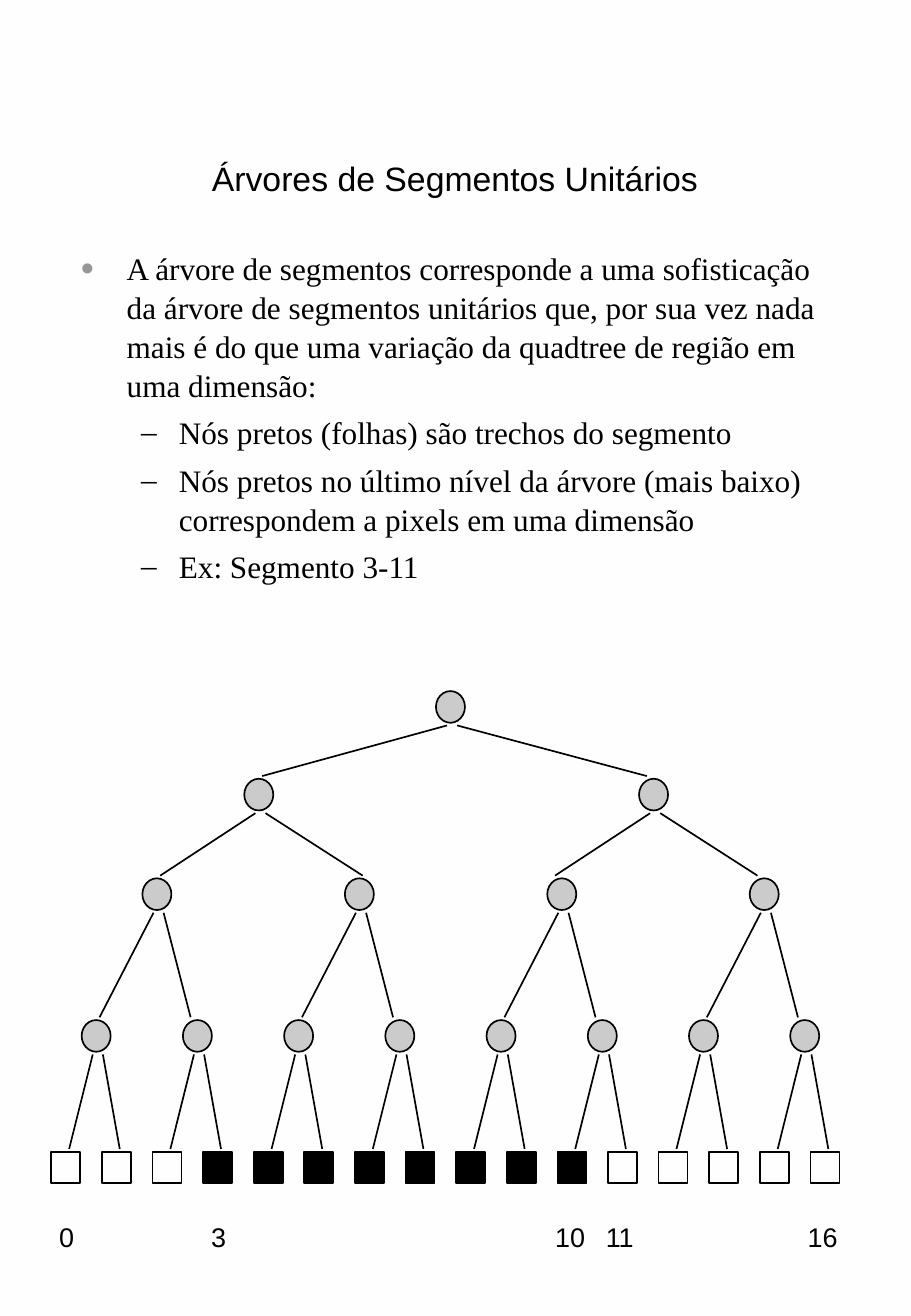
from lxml import etree
from pptx import Presentation
from pptx.dml.color import RGBColor
from pptx.enum.shapes import MSO_CONNECTOR, MSO_SHAPE
from pptx.enum.text import MSO_ANCHOR, MSO_AUTO_SIZE, PP_ALIGN
from pptx.oxml.ns import qn
from pptx.util import Pt

LINE = MSO_CONNECTOR.STRAIGHT
OVAL, RECT = MSO_SHAPE.OVAL, MSO_SHAPE.RECTANGLE
LEFT, CENTER = PP_ALIGN.LEFT, PP_ALIGN.CENTER
TOP, MIDDLE = MSO_ANCHOR.TOP, MSO_ANCHOR.MIDDLE
FIXED = MSO_AUTO_SIZE.NONE

TITLE = "Árvores de Segmentos Unitários"
BODY = [
    (0, "A árvore de segmentos corresponde a uma sofisticação da árvore de "
        "segmentos unitários que, por sua vez nada mais é do que uma variação "
        "da quadtree de região em uma dimensão:"),
    (1, "Nós pretos (folhas) são trechos do segmento"),
    (1, "Nós pretos no último nível da árvore (mais baixo) correspondem a "
        "pixels em uma dimensão"),
    (1, "Ex: Segmento 3-11"),
]
BLACK = range(3, 11)
LABELS = [("0", 28), ("3", 118), ("10", 322), ("11", 352), ("16", 471.6)]
COLORS = {"ink": "000000", "node": "CBCBCB", "dot": "969696",
          "pale": "FEFEFE", "white": "FFFFFF"}
STYLES = [
    {"indent": (27.4, -27.4), "mark": "●", "tint": "dot", "scale": 75},
    {"indent": (58.3, -22.3), "mark": "–", "tint": "ink", "scale": 100},
]
LEVELS = [
    {"y": 419, "x": 267, "step": 0, "ends": (0,)},
    {"y": 471, "x": 153.4, "step": 234, "ends": (2, -4)},
    {"y": 530, "x": 93, "step": 120, "ends": (2, 2, -4, -4)},
    {"y": 614, "x": 57, "step": 60, "ends": (2, -4)},
    {"y": 692, "x": 39, "step": 30, "ends": (2, 2)},
]
NODE_W, NODE_H = 17.2, 18.8
STARTS = (-2, 4)
GAP = 11


def color(name):
    return RGBColor.from_string(COLORS[name])


def place(shape, x, y, w, h):
    shape.left, shape.top, shape.width, shape.height = map(Pt, (x, y, w, h))


def bullet(para, mark, tint, scale, indent):
    props = para._p.get_or_add_pPr()
    props.set("marL", str(Pt(indent[0])))
    props.set("indent", str(Pt(indent[1])))
    fill = etree.SubElement(props, qn("a:buClr"))
    etree.SubElement(fill, qn("a:srgbClr"), val=COLORS[tint])
    etree.SubElement(props, qn("a:buSzPct"), val=str(scale * 1000))
    etree.SubElement(props, qn("a:buFont"), typeface="Times New Roman")
    etree.SubElement(props, qn("a:buChar"), char=mark)


def write(shape, items, size=16, font="Arial", align=LEFT, anchor=TOP,
          wrap=True, before=0, spacing=1.0, styles=None):
    frame = shape.text_frame
    frame.word_wrap = wrap
    frame.auto_size = FIXED
    frame.vertical_anchor = anchor
    for i, (level, text) in enumerate(items):
        para = frame.add_paragraph() if i else frame.paragraphs[0]
        para.level = level
        if styles:
            bullet(para, **styles[level])
        para.alignment = align
        para.line_spacing = spacing
        para.space_before = Pt(before if i else 0)
        run = para.add_run()
        run.text = text
        run.font.name = font
        run.font.size = Pt(size)
        run.font.color.rgb = color("ink")


def node(slide, kind, x, y, fill):
    shape = slide.shapes.add_shape(kind, 0, 0, 0, 0)
    place(shape, x - NODE_W / 2, y - NODE_H / 2, NODE_W, NODE_H)
    shape.shadow.inherit = False
    if fill:
        shape.fill.solid()
        shape.fill.fore_color.rgb = color(fill)
    else:
        shape.fill.background()
    shape.line.color.rgb = color("ink")
    shape.line.width = Pt(1)


def edge(slide, *points):
    line = slide.shapes.add_connector(LINE, *map(Pt, points))
    line.line.color.rgb = color("ink")
    line.line.width = Pt(1)
    etree.SubElement(line._element.spPr, qn("a:effectLst"))


def tree(slide):
    for depth, row in enumerate(LEVELS):
        leaf = depth == len(LEVELS) - 1
        for i in range(2 ** depth):
            x = row["x"] + i * row["step"]
            if leaf:
                node(slide, RECT, x, row["y"], "ink" if i in BLACK else None)
            else:
                node(slide, OVAL, x, row["y"], "node")
            if depth:
                top = LEVELS[depth - 1]
                start = top["x"] + i // 2 * top["step"] + STARTS[i % 2]
                end = x + row["ends"][i % len(row["ends"])]
                edge(slide, start, top["y"] + GAP, end, row["y"] - GAP)


def main():
    deck = Presentation()
    deck.slide_width, deck.slide_height = Pt(540), Pt(780)
    slide = deck.slides.add_slide(deck.slide_layouts[1])
    back = slide.background.fill
    back.gradient()
    back.gradient_angle = 180
    for stop, name in zip(back.gradient_stops, ("pale", "white")):
        stop.color.rgb = color(name)

    title, body = slide.placeholders
    place(title, 40.5, 69, 458.6, 73.5)
    write(title, [(0, TITLE)], size=20, align=CENTER, anchor=MIDDLE)
    place(body, 40.5, 143.3, 458.6, 227.5)
    write(body, BODY, size=18.5, font="Times New Roman", before=5,
          spacing=1.04, styles=STYLES)

    tree(slide)
    for text, x in LABELS:
        box = slide.shapes.add_textbox(0, 0, 0, 0)
        place(box, x, 720, 14.2 + 8.9 * len(text), 26)
        write(box, [(0, text)], wrap=False)
    deck.save("out.pptx")


if __name__ == "__main__":
    main()
